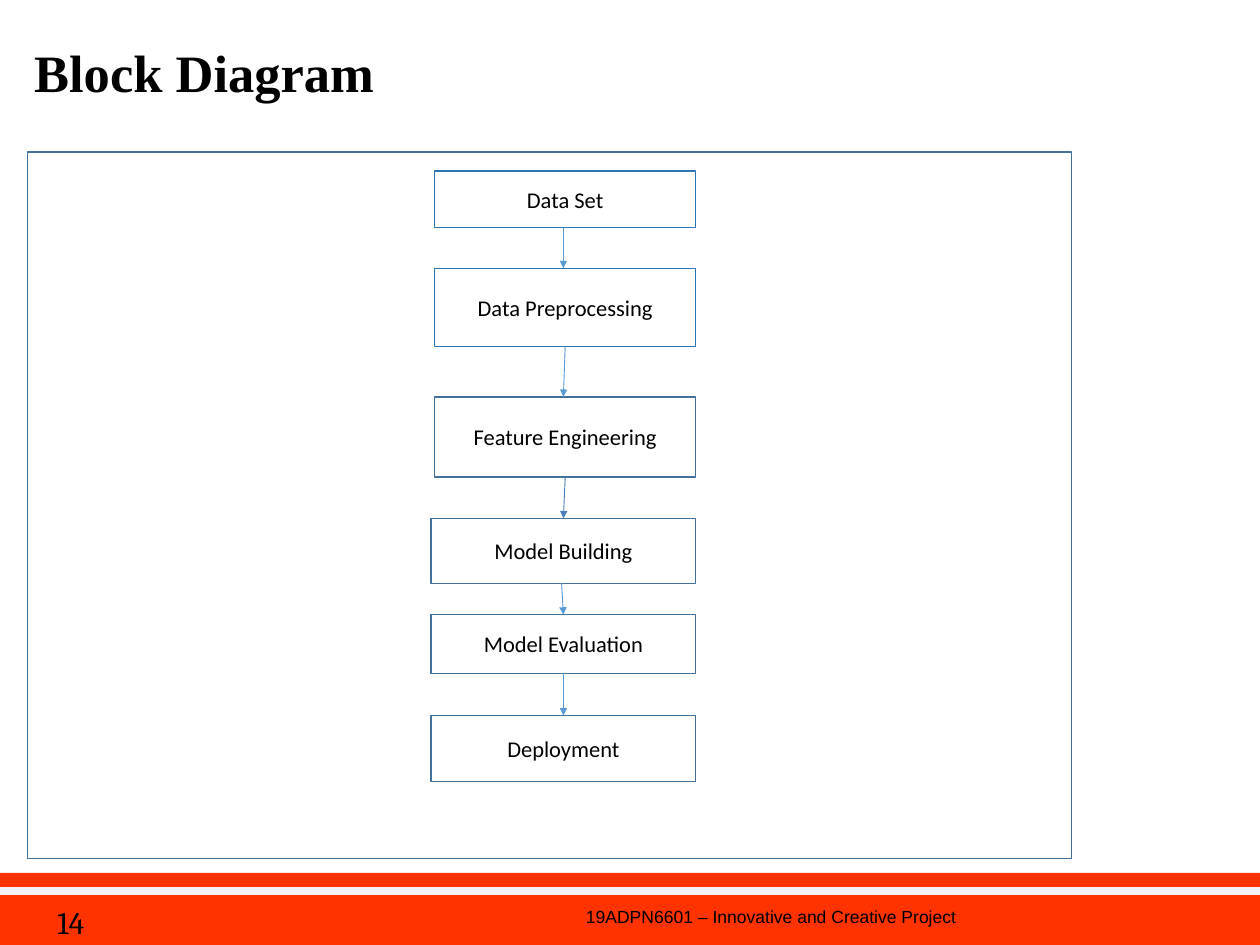
import pptx
import pptx.util
import pptx.dml.color
import pptx.enum.shapes
import pptx.enum.text
import pptx.oxml
import pptx.oxml.ns
from pptx.util import Inches

# Content: label, left, top, width, height, fill, line colour
STEPS = [
    ("Data Set", 4.83, 1.9, 2.9, 0.63, "FFFFFF", "2E75B5"),
    ("Data Preprocessing", 4.83, 2.98, 2.9, 0.87, "FFFFFF", "2E75B5"),
    ("Feature Engineering", 4.83, 4.41, 2.9, 0.89, None, "42719B"),
    ("Model Building", 4.79, 5.76, 2.94, 0.72, "FFFFFF", "42719B"),
    ("Model Evaluation", 4.79, 6.83, 2.94, 0.65, None, "42719B"),
    ("Deployment", 4.79, 7.95, 2.94, 0.73, None, "42719B"),
]
# Start x and colour of the arrow leaving each step but the last
ARROWS = [(6.26, "5B9BD5"), (6.28, "5B9BD5"), (6.28, "4B7EBC"),
          (6.24, "5B9BD5"), (6.26, "5B9BD5")]
ARROW_END_X = 6.26

ALIGN = pptx.enum.text.PP_ALIGN
ANCHOR = pptx.enum.text.MSO_ANCHOR

deck = pptx.Presentation()
deck.slide_width, deck.slide_height = Inches(14), Inches(10.5)
page = deck.slides.add_slide(deck.slide_layouts[6])


def color(value):
    return pptx.dml.color.RGBColor.from_string(value)


def write(shape, text, size, font, bold=False, align=ALIGN.LEFT,
          anchor=ANCHOR.MIDDLE, margins=(0.1, 0.05), spacing=None):
    frame = shape.text_frame
    frame.word_wrap = True
    frame.vertical_anchor = anchor
    frame.margin_left = frame.margin_right = Inches(margins[0])
    frame.margin_top = frame.margin_bottom = Inches(margins[1])
    para = frame.paragraphs[0]
    para.alignment = align
    para.line_spacing = spacing
    span = para.add_run()
    span.text = text
    span.font.name = font
    span.font.size = pptx.util.Pt(size)
    span.font.bold = bold
    span.font.color.rgb = color("000000")


def add_text(left, top, width, height, text, **style):
    box = page.shapes.add_textbox(*map(Inches, (left, top, width, height)))
    write(box, text, **style)


def add_box(left, top, width, height, fill=None, line=None):
    box = page.shapes.add_shape(pptx.enum.shapes.MSO_SHAPE.RECTANGLE,
                                *map(Inches, (left, top, width, height)))
    box.shadow.inherit = False
    if fill:
        box.fill.solid()
        box.fill.fore_color.rgb = color(fill)
    else:
        box.fill.background()
    if line:
        box.line.color.rgb = color(line)
        box.line.width = pptx.util.Pt(1)
    else:
        box.line.fill.background()
    return box


def add_line(start, end, line, width, arrow=False):
    link = page.shapes.add_connector(pptx.enum.shapes.MSO_CONNECTOR.STRAIGHT,
                                     *map(Inches, start + end))
    link.line.color.rgb = color(line)
    link.line.width = pptx.util.Pt(width)
    if arrow:
        head = pptx.oxml.parse_xml(
            f'<a:tailEnd {pptx.oxml.ns.nsdecls("a")} type="triangle"/>')
        link.line._get_or_add_ln().append(head)
    link._element.spPr.append(
        pptx.oxml.parse_xml(f'<a:effectLst {pptx.oxml.ns.nsdecls("a")}/>'))


# Footer band
add_box(-0.02, 9.7, 14.02, 0.8, fill="FF3300")
add_line((-0.02, 9.9), (14, 9.9), "F2F2F2", 6)

# Title
add_text(0.24, 0.25, 11.09, 1.17, "Block Diagram", size=42,
         font="Times New Roman", bold=True, margins=(0.14, 0.07), spacing=0.9)

# Frame and steps
add_box(0.31, 1.69, 11.6, 7.85, line="42719B")
for label, left, top, width, height, fill, line in STEPS:
    box = add_box(left, top, width, height, fill, line)
    write(box, label, size=18, font="Calibri", align=ALIGN.CENTER)

# Arrows from the bottom of each step to the top of the next
for step, following, (start_x, line) in zip(STEPS, STEPS[1:], ARROWS):
    bottom = step[2] + step[4]
    add_line((start_x, bottom), (ARROW_END_X, following[2]), line, 0.75, arrow=True)

# Footer text
add_text(0.54, 9.99, 1.55, 0.41, "14", size=25, font="Cambria", anchor=ANCHOR.TOP)
add_text(6, 9.99, 5.14, 0.39, "19ADPN6601 – Innovative and Creative Project",
         size=14, font="Arial", align=ALIGN.CENTER)

deck.save("out.pptx")
